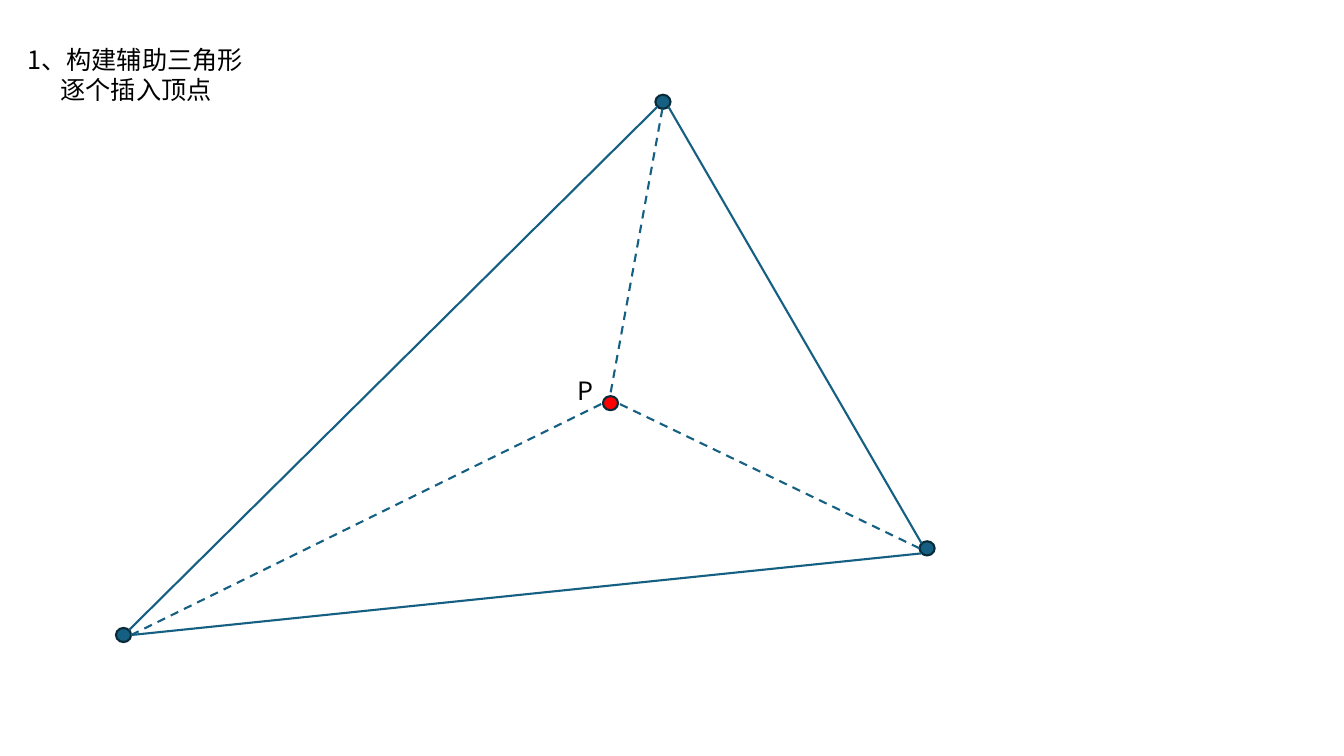
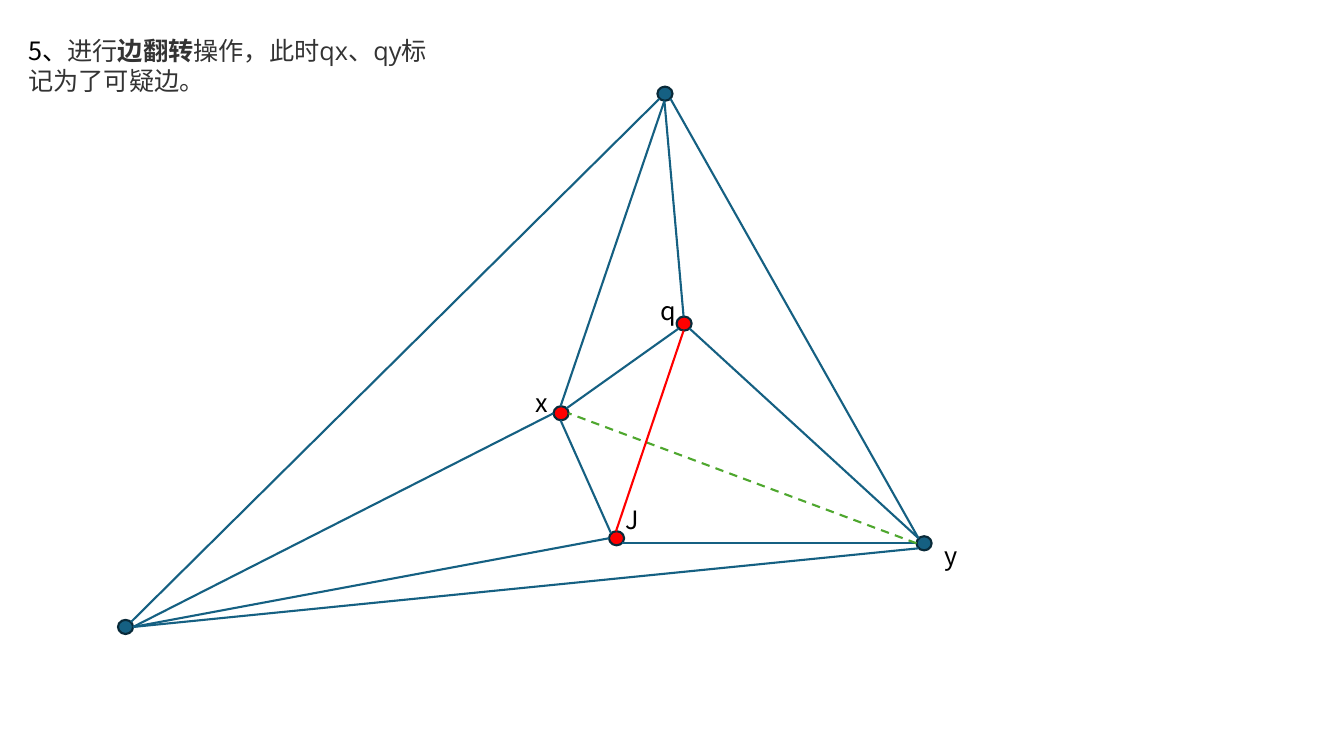
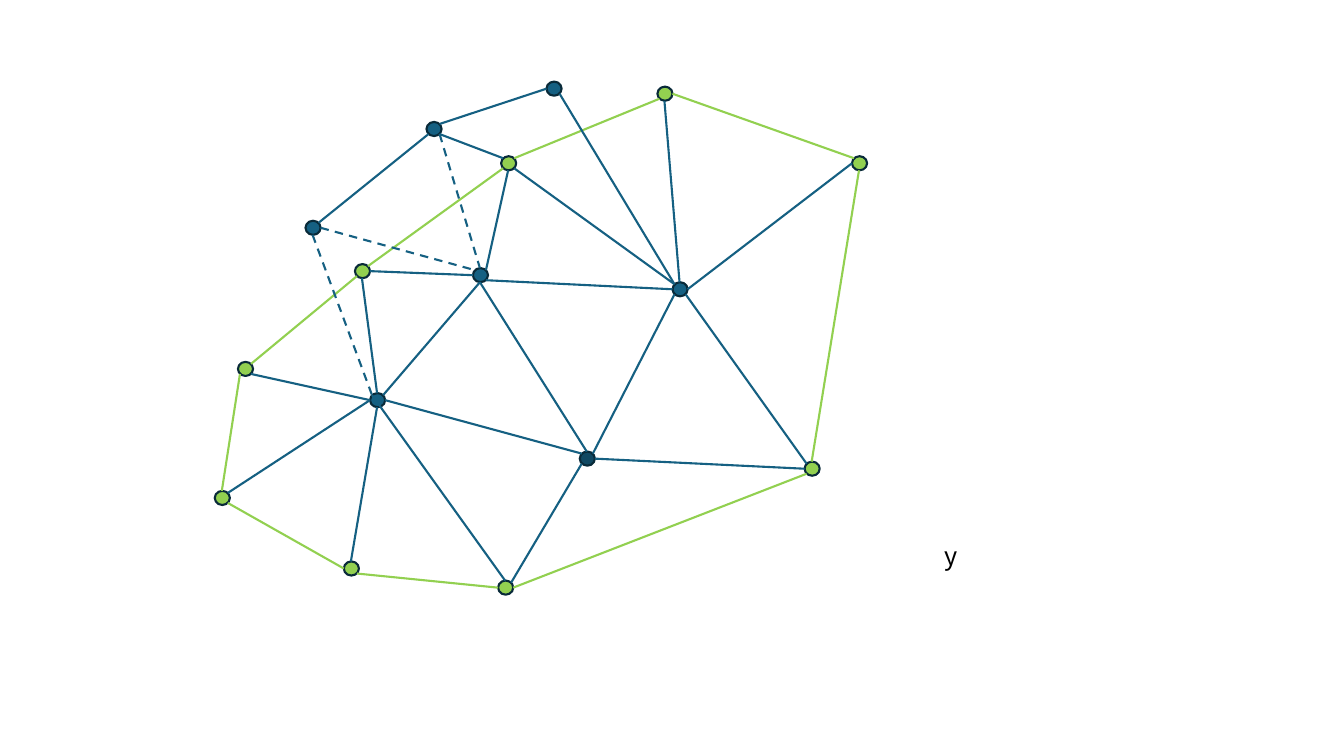
from dataclasses import dataclass

from lxml import etree
from pptx import Presentation
from pptx.dml.color import RGBColor
from pptx.enum.dml import MSO_LINE
from pptx.enum.shapes import MSO_CONNECTOR, MSO_SHAPE
from pptx.enum.text import MSO_ANCHOR, MSO_AUTO_SIZE, PP_ALIGN
from pptx.oxml.ns import qn
from pptx.util import Emu, Pt

DASH = MSO_LINE.DASH
ELLIPSE = MSO_SHAPE.OVAL
STRAIGHT = MSO_CONNECTOR.STRAIGHT
TOP = MSO_ANCHOR.TOP
LEFT = PP_ALIGN.LEFT
NO_AUTOFIT = MSO_AUTO_SIZE.NONE
TITLE_ONLY, BLANK = 5, 6
EMU_PER_PX = 9144


@dataclass(frozen=True)
class Theme:
    blue: str = "156082"
    deep_blue: str = "104862"
    outline: str = "092A39"
    red: str = "FF0000"
    green: str = "4EA72E"
    lime: str = "92D050"
    black: str = "000000"
    gray: str = "333333"
    cjk_font: str = "Noto Sans CJK SC"
    latin_font: str = "Open Sans"
    text_size: int = 18
    line_spacing: int = 22
    line_width: float = 1.5


THEME = Theme()
DOT_WIDTH, DOT_HEIGHT = 15, 14
SITES = {
    "N": (7, 0), "NE": (13, 2), "E": (15, 7), "SE": (13, 12),
    "S": (7, 14), "SW": (2, 12), "W": (0, 7), "NW": (2, 2),
}
OUTER_TRIANGLE = [
    ("top", "SW", "left", "NE"),
    ("top", "SE", "right", "NW"),
    ("left", "E", "right", "SW"),
]


def px(value):
    return Emu(value * EMU_PER_PX)


def rgb(color):
    return RGBColor.from_string(color)


def format_run(run, font_name=THEME.cjk_font, color=THEME.black, bold=False):
    font = run.font
    font.name = font_name
    font.size = Pt(THEME.text_size)
    font.bold = bold
    font.color.rgb = rgb(color)
    properties = run._r.get_or_add_rPr()
    etree.SubElement(properties, qn("a:ea"), typeface=THEME.cjk_font)


def format_frame(text_frame):
    text_frame.word_wrap = True
    text_frame.auto_size = NO_AUTOFIT
    text_frame.vertical_anchor = TOP
    for paragraph in text_frame.paragraphs:
        paragraph.alignment = LEFT
        paragraph.line_spacing = Pt(THEME.line_spacing)


def add_title(slide, text, left, top, width, height):
    title = slide.shapes.title
    title.left, title.top = px(left), px(top)
    title.width, title.height = px(width), px(height)
    title.text_frame.text = text
    format_frame(title.text_frame)
    return title.text_frame


def add_label(slide, text, left, top):
    box = slide.shapes.add_textbox(px(left), px(top), px(34), px(40))
    box.text_frame.text = text
    format_frame(box.text_frame)
    format_run(box.text_frame.paragraphs[0].runs[0])


def add_dots(slide, dots, color):
    for left, top in dots.values():
        shape = slide.shapes.add_shape(
            ELLIPSE, px(left), px(top), px(DOT_WIDTH), px(DOT_HEIGHT))
        shape.shadow.inherit = False
        shape.fill.solid()
        shape.fill.fore_color.rgb = rgb(color)
        shape.line.color.rgb = rgb(THEME.outline)
        shape.line.width = Pt(THEME.line_width)


def site_position(dot, site):
    return [px(origin + offset) for origin, offset in zip(dot, SITES[site])]


def add_edges(slide, dots, edges, color=THEME.blue, dash=None):
    for start, start_site, end, end_site in edges:
        connector = slide.shapes.add_connector(
            STRAIGHT,
            *site_position(dots[start], start_site),
            *site_position(dots[end], end_site))
        connector.line.color.rgb = rgb(color)
        connector.line.width = Pt(THEME.line_width)
        if dash:
            connector.line.dash_style = dash
        etree.SubElement(connector._element.spPr, qn("a:effectLst"))


def add_slide(presentation, layout):
    return presentation.slides.add_slide(presentation.slide_layouts[layout])


def build_insertion_slide(presentation):
    slide = add_slide(presentation, TITLE_ONLY)
    corners = {"top": (650, 94), "right": (912, 537), "left": (115, 623)}
    inserted = {"P": (598, 393)}
    dots = corners | inserted
    add_dots(slide, corners, THEME.blue)
    add_dots(slide, inserted, THEME.red)
    add_edges(slide, dots, OUTER_TRIANGLE)
    add_edges(slide, dots, [
        ("top", "S", "P", "N"),
        ("right", "W", "P", "E"),
        ("left", "E", "P", "W"),
    ], dash=DASH)
    title = add_title(slide, "1、构建辅助三角形\n逐个插入顶点", 17, 38, 248, 71)
    for paragraph in title.paragraphs:
        format_run(paragraph.runs[0])
    second_line = title.paragraphs[1]._p.get_or_add_pPr()
    second_line.set("marL", str(px(33)))
    add_label(slide, "P", 563, 367)


def build_flip_slide(presentation):
    slide = add_slide(presentation, TITLE_ONLY)
    corners = {"top": (652, 86), "right": (909, 532), "left": (117, 615)}
    inserted = {"x": (549, 403), "q": (671, 314), "J": (604, 527)}
    dots = corners | inserted
    add_dots(slide, corners, THEME.blue)
    add_dots(slide, inserted, THEME.red)
    add_edges(slide, dots, OUTER_TRIANGLE + [
        ("top", "S", "x", "N"),
        ("left", "E", "x", "W"),
        ("top", "S", "q", "N"),
        ("x", "NE", "q", "SW"),
        ("right", "NW", "q", "SE"),
        ("J", "W", "left", "E"),
        ("x", "S", "J", "NW"),
        ("J", "SE", "right", "W"),
    ])
    add_edges(slide, dots, [("right", "W", "x", "E")], THEME.green, DASH)
    add_edges(slide, dots, [("q", "S", "J", "N")], THEME.red)

    title = add_title(slide, "5、", 18, 29, 418, 101)
    paragraph = title.paragraphs[0]
    format_run(paragraph.runs[0])
    for text, bold in [
        ("进行", False),
        ("边翻转", True),
        ("操作，此时qx、qy标记为了可疑边。", False),
    ]:
        run = paragraph.add_run()
        run.text = text
        format_run(run, THEME.latin_font, THEME.gray, bold)
    for text, left, top in [
        ("q", 645, 288), ("J", 611, 495), ("x", 521, 379), ("y", 927, 531),
    ]:
        add_label(slide, text, left, top)


def build_boundary_slide(presentation):
    slide = add_slide(presentation, BLANK)
    boundary = {
        "north": (652, 86), "northeast": (845, 155), "east": (798, 458),
        "south": (494, 576), "southwest": (341, 557), "west": (213, 487),
        "west_upper": (236, 359), "west_top": (352, 262),
        "northwest": (497, 155),
    }
    inner = {"hub_west": (367, 390), "hub_east": (667, 280),
             "hub_north": (469, 266)}
    center = {"center": (575, 448)}
    outer = {"outer_low": (303, 219), "outer_mid": (423, 121),
             "outer_top": (542, 81)}
    dots = boundary | inner | center | outer
    add_dots(slide, boundary, THEME.lime)
    add_dots(slide, inner | outer, THEME.blue)
    add_dots(slide, center, THEME.deep_blue)
    add_edges(slide, dots, [
        ("north", "E", "northeast", "NW"),
        ("northeast", "S", "east", "N"),
        ("south", "E", "east", "SW"),
        ("south", "W", "southwest", "SE"),
        ("southwest", "W", "west", "SE"),
        ("west", "N", "west_upper", "SW"),
        ("west_upper", "NE", "west_top", "SW"),
        ("west_top", "NE", "northwest", "SW"),
        ("northwest", "NE", "north", "SW"),
    ], THEME.lime)
    add_edges(slide, dots, [
        ("northeast", "W", "hub_east", "E"),
        ("north", "S", "hub_east", "N"),
        ("east", "NW", "hub_east", "SE"),
        ("northwest", "SE", "hub_east", "NW"),
        ("outer_top", "SE", "hub_east", "NW"),
        ("hub_north", "SE", "hub_east", "W"),
        ("hub_north", "NE", "northwest", "S"),
        ("west_top", "E", "hub_north", "W"),
        ("west_top", "S", "hub_west", "N"),
        ("west_upper", "SE", "hub_west", "W"),
        ("west", "NE", "hub_west", "W"),
        ("southwest", "N", "hub_west", "S"),
        ("south", "N", "hub_west", "NW"),
        ("hub_west", "NE", "hub_north", "S"),
        ("hub_west", "E", "center", "NW"),
        ("hub_north", "S", "center", "N"),
        ("hub_east", "SW", "center", "NE"),
        ("center", "E", "east", "W"),
        ("center", "SW", "south", "NE"),
        ("northwest", "NW", "outer_mid", "SE"),
        ("outer_mid", "SW", "outer_low", "NE"),
        ("outer_top", "W", "outer_mid", "NE"),
    ])
    add_edges(slide, dots, [
        ("outer_low", "E", "hub_north", "NW"),
        ("outer_low", "S", "hub_west", "NW"),
        ("outer_mid", "SE", "hub_north", "N"),
    ], dash=DASH)
    add_label(slide, "y", 927, 531)


def main():
    presentation = Presentation()
    presentation.slide_width = px(1333)
    presentation.slide_height = px(750)
    build_insertion_slide(presentation)
    build_flip_slide(presentation)
    build_boundary_slide(presentation)
    presentation.save("out.pptx")


if __name__ == "__main__":
    main()
